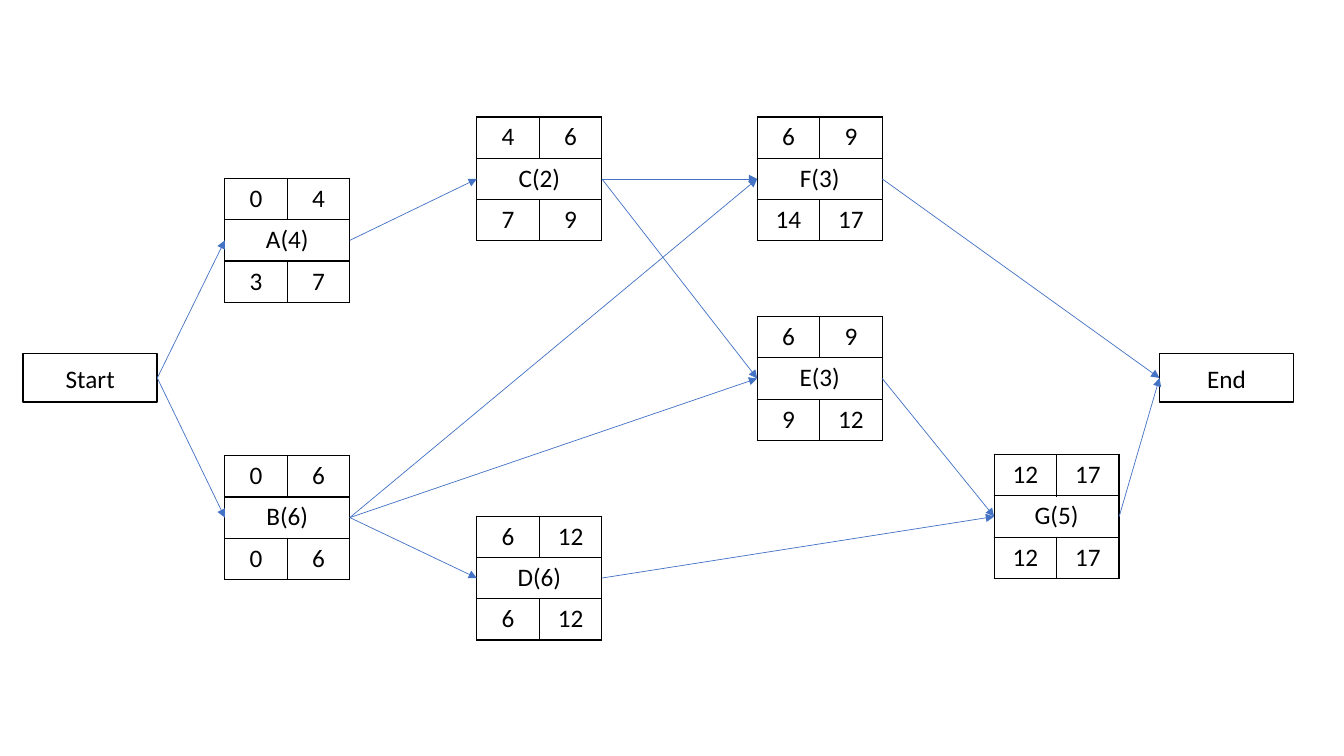
from pptx import Presentation
from pptx.dml.color import RGBColor
from pptx.enum.shapes import MSO_CONNECTOR, MSO_SHAPE
from pptx.enum.text import MSO_ANCHOR, PP_ALIGN
from pptx.oxml import parse_xml
from pptx.oxml.ns import nsdecls
from pptx.util import Inches, Pt

STRAIGHT = MSO_CONNECTOR.STRAIGHT
RECTANGLE = MSO_SHAPE.RECTANGLE
MIDDLE = MSO_ANCHOR.MIDDLE
CENTER = PP_ALIGN.CENTER
LEFT_SIDE, RIGHT_SIDE = 1, 3

BLACK, BLUE = "000000", "4472C4"
FONT = "Calibri"

# Terminal: left, top
TERMINALS = {"Start": (0.23, 3.51), "End": (11.5, 3.51)}
TERMINAL_W, TERMINAL_H = 1.33, 0.48

# Activity: left, top, duration, earliest start and finish, latest start and finish
ACTIVITIES = {
    "A": (2.23, 1.77, 4, (0, 4), (3, 7)),
    "B": (2.23, 4.52, 6, (0, 6), (0, 6)),
    "C": (4.73, 1.16, 2, (4, 6), (7, 9)),
    "D": (4.73, 5.12, 6, (6, 12), (6, 12)),
    "F": (7.51, 1.16, 3, (6, 9), (14, 17)),
    "E": (7.51, 3.14, 3, (6, 9), (9, 12)),
    "G": (9.86, 4.51, 5, (12, 17), (12, 17)),
}
COLUMN_W, ROW_H = 0.62, 0.41
ACTIVITY_W, ACTIVITY_H = 2 * COLUMN_W, 3 * ROW_H

DEPENDENCIES = [
    ("Start", "A"), ("Start", "B"), ("A", "C"), ("B", "D"), ("C", "F"), ("C", "E"),
    ("B", "E"), ("B", "F"), ("D", "G"), ("G", "End"), ("E", "G"), ("F", "End"),
]


def color(hex_value):
    return RGBColor.from_string(hex_value)


def write(text_frame, text):
    text_frame.text = text
    paragraph = text_frame.paragraphs[0]
    paragraph.alignment = CENTER
    font = paragraph.runs[0].font
    font.name = FONT
    font.size = Pt(18)
    font.color.rgb = color(BLACK)


def add_terminal(slide, label, left, top):
    box = slide.shapes.add_shape(
        RECTANGLE, Inches(left), Inches(top), Inches(TERMINAL_W), Inches(TERMINAL_H))
    box.shadow.inherit = False
    box.fill.background()
    box.line.color.rgb = color(BLACK)
    box.line.width = Pt(1)
    box.text_frame.vertical_anchor = MIDDLE
    write(box.text_frame, label)
    return box


def outline_cell(cell):
    cell.fill.background()
    properties = cell._tc.get_or_add_tcPr()
    for index, side in enumerate(("lnL", "lnR", "lnT", "lnB")):
        properties.insert(index, parse_xml(
            f'<a:{side} {nsdecls("a")} w="{Pt(1)}"><a:solidFill>'
            f'<a:srgbClr val="{BLACK}"/></a:solidFill></a:{side}>'))


def add_activity(slide, name, left, top, duration, earliest, latest):
    table = slide.shapes.add_table(
        3, 2, Inches(left), Inches(top), Inches(ACTIVITY_W), Inches(ACTIVITY_H)).table
    table.first_row = table.horz_banding = False
    for column in table.columns:
        column.width = Inches(COLUMN_W)
    for row in table.rows:
        row.height = Inches(ROW_H)
    for cell in table.iter_cells():
        outline_cell(cell)
    table.cell(1, 0).merge(table.cell(1, 1))
    write(table.cell(1, 0).text_frame, f"{name}({duration})")
    for row, times in ((0, earliest), (2, latest)):
        for column, time in enumerate(times):
            write(table.cell(row, column).text_frame, str(time))


def side_middles(name):
    """Return the left x, right x and middle y of a node."""
    if name in TERMINALS:
        left, top = TERMINALS[name]
        return left, left + TERMINAL_W, top + TERMINAL_H / 2
    left, top = ACTIVITIES[name][:2]
    return left, left + ACTIVITY_W, top + ACTIVITY_H / 2


def add_arrow(slide, source, target, terminals):
    _, start_x, start_y = side_middles(source)
    end_x, _, end_y = side_middles(target)
    arrow = slide.shapes.add_connector(
        STRAIGHT, Inches(start_x), Inches(start_y), Inches(end_x), Inches(end_y))
    if source in terminals:
        arrow.begin_connect(terminals[source], RIGHT_SIDE)
    if target in terminals:
        arrow.end_connect(terminals[target], LEFT_SIDE)
    arrow.line.color.rgb = color(BLUE)
    arrow.line.width = Pt(0.5)
    arrow.line._get_or_add_ln().append(
        parse_xml(f'<a:tailEnd {nsdecls("a")} type="triangle"/>'))
    arrow._element.spPr.append(parse_xml(f'<a:effectLst {nsdecls("a")}/>'))


def main():
    deck = Presentation()
    deck.slide_width, deck.slide_height = Inches(13.33), Inches(7.5)
    slide = deck.slides.add_slide(deck.slide_layouts[6])
    terminals = {label: add_terminal(slide, label, *place)
                 for label, place in TERMINALS.items()}
    for name, activity in ACTIVITIES.items():
        add_activity(slide, name, *activity)
    for source, target in DEPENDENCIES:
        add_arrow(slide, source, target, terminals)
    deck.save("out.pptx")


if __name__ == "__main__":
    main()
